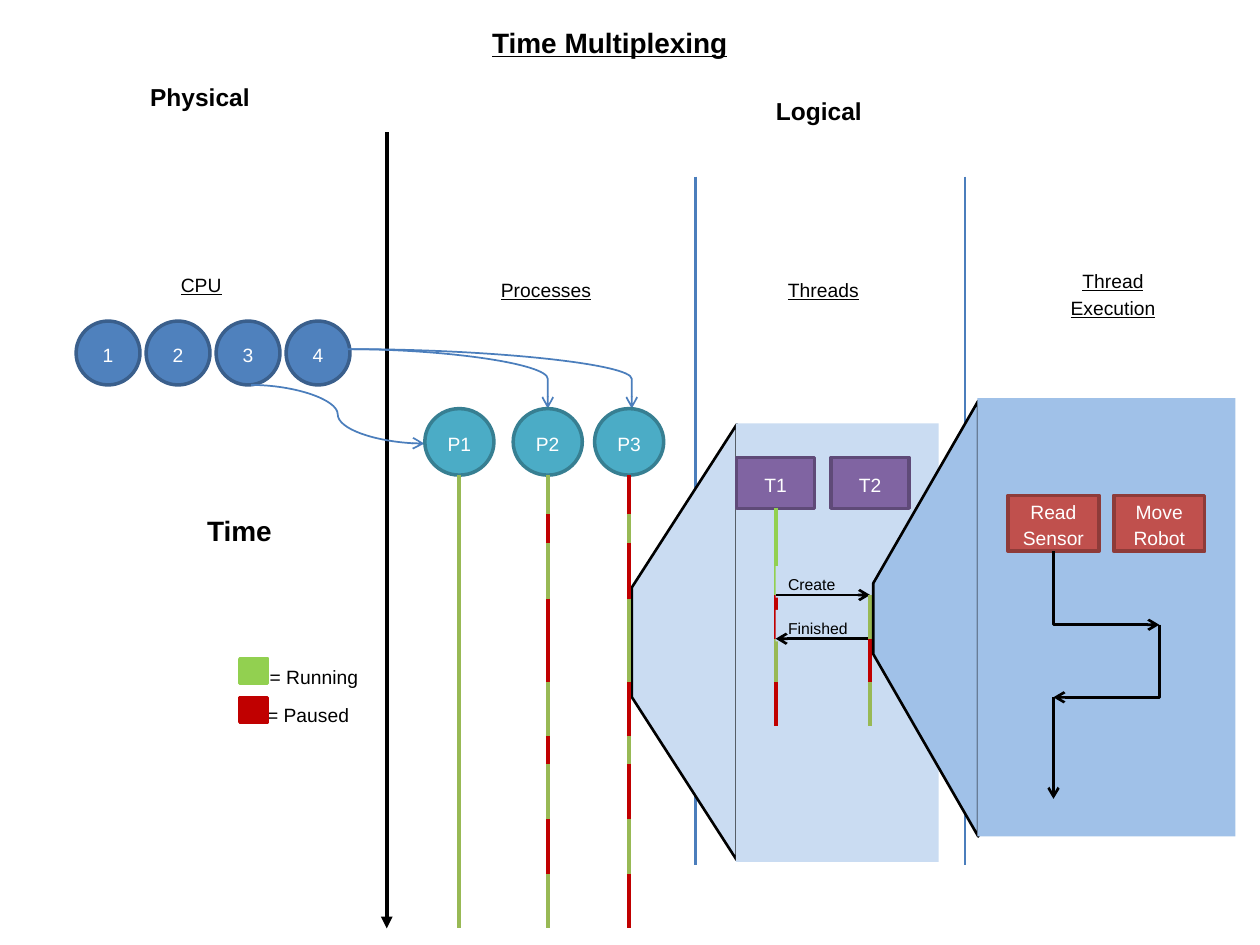
from lxml.etree import SubElement
from pptx import Presentation
from pptx.dml.color import RGBColor
from pptx.enum.shapes import MSO_CONNECTOR, MSO_SHAPE
from pptx.enum.text import MSO_ANCHOR, PP_ALIGN
from pptx.oxml.ns import qn
from pptx.util import Pt

C = dict(white="FFFFFF", black="000000", blue="4F81BD", blue_edge="3A5F8C",
         teal="4BACC6", teal_edge="377F92", purple="8064A2", purple_edge="5F4A78",
         brick="C0504D", brick_edge="8E3B39", divider="4B7EBC",
         pale="CADCF2", mid="A0C1E8", run="98B955", lime="92D050", pause="C00000")

# text, (left, top, width, height), format
HEADINGS = [
    ("Physical", (75, 42.5, 78.5, 25), dict(size=14, bold=True, middle=True)),
    ("Time Multiplexing", (271.5, 11.5, 154, 25),
     dict(size=16, bold=True, underline=True, middle=True)),
    ("Logical", (420.5, 51, 95, 25), dict(size=14, bold=True, middle=True)),
    ("Time", (98.5, 290, 76.5, 29.5), dict(size=16, bold=True)),
    ("CPU", (58.5, 152.5, 113, 21), dict(underline=True)),
]
COLUMN_LABELS = [("Processes", 267, 153.5), ("Threads", 425.5, 153.5),
                 ("Thread Execution", 591, 148.5)]
LEGEND = [("= Running", 147, 374.5, "lime"), ("= Paused", 145.5, 396.5, "pause")]

CPUS = ["1", "2", "3", "4"]
CPU_LEFT, CPU_TOP, CPU_SIZE, CPU_PITCH = 43.5, 183.5, 36.5, 40
PROCESSES = [("P1", 262.5), ("P2", 313), ("P3", 359.5)]  # name, centre
PROC_TOP, PROC_W, PROC_H = 233.5, 39.5, 38
THREADS = [("T1", 421), ("T2", 475)]
THREAD_TOP, THREAD_W, THREAD_H = 261.5, 44.5, 29
ACTIONS = [("Read Sensor", 576), ("Move Robot", 636.5)]
ACTION_TOP, ACTION_W, ACTION_H = 283, 52, 32

DISPATCHES = [((143.5, 220), (242.5, 253.5), 0.5),
              ((198, 199.5), (313, 233.5), 1),
              ((200, 199.5), (361, 233.5), 1)]
TIME_TOP, TIME_END = PROC_TOP + PROC_H, 530.5
SLICES = [TIME_TOP, 294, 310.5, 342, 389.5, 420.5, 436.5, 468, 499.5, TIME_END]
CREATE_Y, FINISH_Y = 340, 365
THREAD_SLICES = [CREATE_Y, FINISH_Y, 390, 415]
MESSAGES = [("Create", 47, CREATE_Y), ("Finished", 54, FINISH_Y)]

prs = Presentation()
prs.slide_width, prs.slide_height = Pt(720), Pt(540)
s = prs.slides.add_slide(prs.slide_layouts[6])


def write(sp, text, size=11, color="white", bold=False, underline=None,
          align=PP_ALIGN.CENTER, middle=False, wrap=True, spaced=False, inset=7.2):
    tf = sp.text_frame
    tf.word_wrap = wrap
    tf.margin_left = tf.margin_right = Pt(inset)
    tf.vertical_anchor = MSO_ANCHOR.MIDDLE if middle else MSO_ANCHOR.TOP
    p = tf.paragraphs[0]
    p.alignment = align
    if spaced:
        p.line_spacing, p.space_after = 1.15, Pt(10)
    r = p.add_run()
    r.text = text
    f = r.font
    f.name, f.size, f.bold, f.underline = "Arial", Pt(size), bold, underline
    f.color.rgb = RGBColor.from_string(C[color])


def shape(kind, box, fill, edge=None, width=2):
    sp = s.shapes.add_shape(kind, *map(Pt, box))
    sp.shadow.inherit = False
    sp.fill.solid()
    sp.fill.fore_color.rgb = RGBColor.from_string(C[fill])
    if edge:
        sp.line.color.rgb = RGBColor.from_string(C[edge])
        sp.line.width = Pt(width)
    else:
        sp.line.fill.background()
    return sp


def label(text, box, fill="white", **fmt):
    write(shape(MSO_SHAPE.RECTANGLE, box, fill), text, color="black", **fmt)


def node(kind, text, box, fill):
    sp = shape(kind, box, fill, fill + "_edge")
    write(sp, text, middle=True, spaced=True, inset=0)
    return sp


def line(start, end, color="black", width=1.5, tail=None,
         kind=MSO_CONNECTOR.STRAIGHT, bend=None):
    """Draw a connector; bend is where it turns, as a share of its width."""
    c = s.shapes.add_connector(kind, *map(Pt, (*start, *end)))
    c.line.color.rgb = RGBColor.from_string(C[color])
    c.line.width = Pt(width)
    pr = c._element.spPr
    SubElement(pr, qn("a:effectLst"))
    if tail:
        SubElement(pr.find(qn("a:ln")), qn("a:tailEnd"), type=tail)
    if bend is not None:
        geom = pr.find(qn("a:prstGeom"))
        guides = geom.find(qn("a:avLst"))
        if guides is None:
            guides = SubElement(geom, qn("a:avLst"))
        SubElement(guides, qn("a:gd"), name="adj1", fmla=f"val {round(bend * 100000)}")
    return c


def timeline(x, edges, colors):
    """Draw one vertical bar per slice, taking the colours in turn."""
    for i, (top, bottom) in enumerate(zip(edges, edges[1:])):
        line((x, top), (x, bottom), colors[i % len(colors)], 2.25)


def zoom_panel(funnel, adj, panel, fill):
    sp = shape(MSO_SHAPE.TRAPEZOID, funnel, fill, "black", 1.5)
    sp.rotation = 270
    sp.adjustments[0] = adj
    shape(MSO_SHAPE.RECTANGLE, panel, fill)


# Headings and column dividers
for text, box, fmt in HEADINGS:
    label(text, box, **fmt)
for text, left, top in COLUMN_LABELS:
    label(text, (left, top, 90, 29.5), underline=True, spaced=True)
for x in (397.5, 551.5):
    line((x, 101), (x, 494.5), "divider")
line((221, 75.5), (221, TIME_END), width=2.25, tail="triangle")

# CPUs and processes
zoom_panel((266.5, 337, 249, 60), 1.554, (420.5, 242, 116, 250.5), "pale")
for i, name in enumerate(CPUS):
    node(MSO_SHAPE.OVAL, name,
         (CPU_LEFT + i * CPU_PITCH, CPU_TOP, CPU_SIZE, CPU_SIZE), "blue")
for start, end, bend in DISPATCHES:
    line(start, end, "divider", 1, "arrow", MSO_CONNECTOR.CURVE, bend)
for name, x in PROCESSES:
    node(MSO_SHAPE.OVAL, name, (x - PROC_W / 2, PROC_TOP, PROC_W, PROC_H), "teal")
p1, p2, p3 = (x for _, x in PROCESSES)
timeline(p1, [TIME_TOP, TIME_END], ["run"])
timeline(p2, SLICES, ["run", "pause"])
timeline(p3, SLICES, ["pause", "run"])

# Threads
thread_1, thread_2 = (
    node(MSO_SHAPE.RECTANGLE, name, (x, THREAD_TOP, THREAD_W, THREAD_H), "purple")
    for name, x in THREADS)
t1, t2 = (x + THREAD_W / 2 for _, x in THREADS)
line((t1, THREAD_TOP + THREAD_H), (t1, CREATE_Y), "lime", 2.25).begin_connect(thread_1, 2)
timeline(t1, THREAD_SLICES, ["pause", "run"])
for text, width, y in MESSAGES:
    label(text, (t1, y - 16.5, width, 18), "pale", size=9, align=PP_ALIGN.LEFT,
          wrap=False, spaced=True)
line((t1, CREATE_Y), (t2, CREATE_Y), tail="arrow")
line((t2, FINISH_Y), (t1, FINISH_Y), tail="arrow")
timeline(t2, THREAD_SLICES, ["run", "pause"])

# Thread execution
zoom_panel((404.5, 323.5, 249, 60), 1.737, (558.5, 227.5, 147.5, 250.5), "mid")
for name, x in ACTIONS:
    node(MSO_SHAPE.RECTANGLE, name, (x, ACTION_TOP, ACTION_W, ACTION_H), "brick")
read_x, move_x = (x + ACTION_W / 2 for _, x in ACTIONS)
steps = [(read_x, ACTION_TOP + ACTION_H), (move_x, 357), (read_x, 398.5)]
for start, end in zip(steps, steps[1:]):
    line(start, end, tail="arrow", kind=MSO_CONNECTOR.ELBOW, bend=0)
line(steps[-1], (read_x, 456.5), tail="arrow")

# Legend
for text, left, top, color in LEGEND:
    label(text, (left, top, 65.5, 18), align=PP_ALIGN.LEFT, wrap=False, spaced=True)
    shape(MSO_SHAPE.RECTANGLE, (137, top + 2, 16, 14), color, color)

prs.save("out.pptx")
